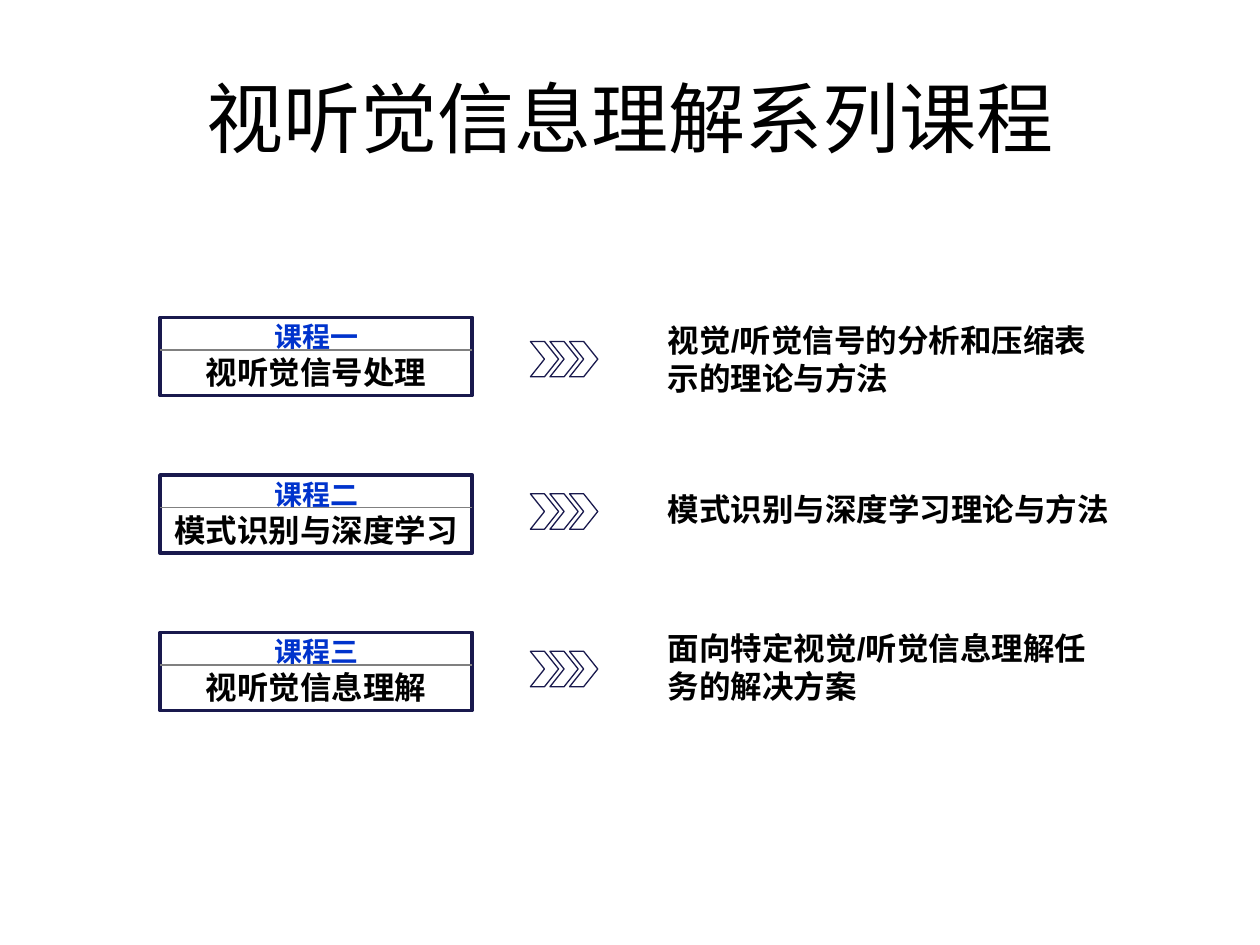
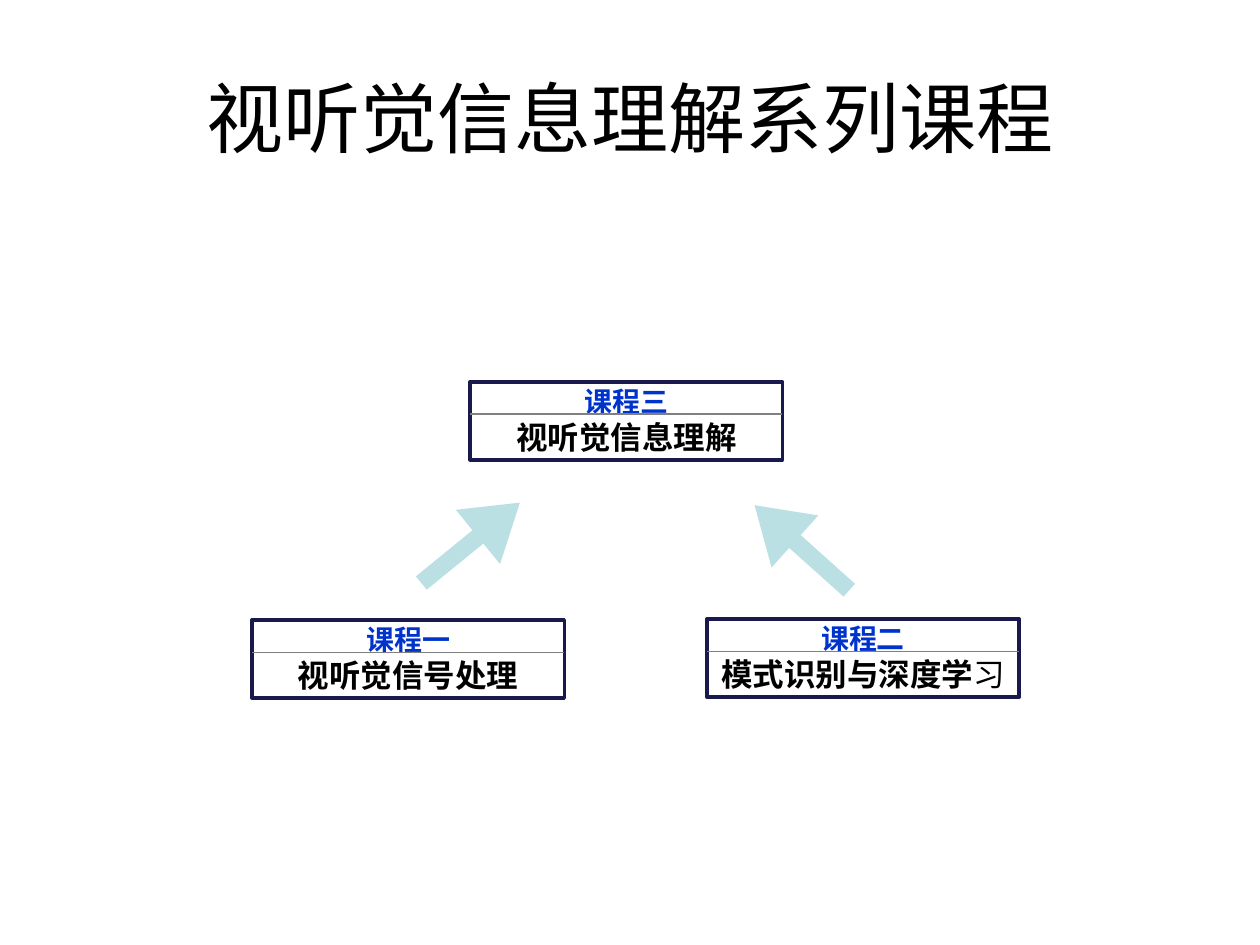
from pptx import Presentation
from pptx.dml.color import RGBColor
from pptx.enum import shapes as kinds, text as txt
from pptx.oxml import ns, xmlchemy as xml
from pptx.util import Pt

BLACK = RGBColor(0x00, 0x00, 0x00)
BLUE = RGBColor(0x00, 0x33, 0xCC)
NAVY = RGBColor(0x19, 0x19, 0x4D)
GREY = RGBColor(0x80, 0x80, 0x80)
AQUA = RGBColor(0xBB, 0xE0, 0xE3)
LATIN, CHINESE = "Arial", "Noto Sans CJK SC"
TITLE = "视听觉信息理解系列课程"
CARD_WIDTH, CARD_HEIGHT, DIVIDER_DROP = 178.5, 44.6, 18.6
LEFT, CENTER = txt.PP_ALIGN.LEFT, txt.PP_ALIGN.CENTER

SIGNALS = ("课程一", "视听觉信号处理")
LEARNING = ("课程二", "模式识别与深度学习")
UNDERSTANDING = ("课程三", "视听觉信息理解")


def style_span(span, size, color, bold=True, font=CHINESE):
    """Format one run, with a separate East Asian typeface."""
    span.font.size, span.font.bold, span.font.name = Pt(size), bold, font
    span.font.color.rgb = color
    east_asian = xml.OxmlElement("a:ea")
    east_asian.set("typeface", CHINESE)
    span.font._element.find(ns.qn("a:latin")).addnext(east_asian)


def style_para(para, size, color, align, **look):
    """Format a paragraph and all its runs."""
    para.alignment = align
    para.line_spacing = Pt(size * 1.2)
    for span in para.runs:
        style_span(span, size, color, **look)


def set_frame(frame, insets):
    """Wrap and centre a text frame vertically, with insets left, top, right, bottom."""
    frame.word_wrap = True
    frame.vertical_anchor = txt.MSO_ANCHOR.MIDDLE
    (frame.margin_left, frame.margin_top,
     frame.margin_right, frame.margin_bottom) = map(Pt, insets)


def add_outline(parent, kind, left, top, width, height, weight):
    """Add an unfilled navy shape."""
    shape = parent.shapes.add_shape(kind, Pt(left), Pt(top), Pt(width), Pt(height))
    shape.shadow.inherit = False
    shape.fill.background()
    shape.line.color.rgb = NAVY
    shape.line.width = Pt(weight)
    return shape


def add_page(deck):
    """Add a slide with the shared title."""
    page = deck.slides.add_slide(deck.slide_layouts[5])
    title = page.shapes.title
    title.left, title.top, title.width, title.height = map(Pt, (36, 21.6, 648, 90))
    title.text_frame.text = TITLE
    set_frame(title.text_frame, (7.2, 3.6, 7.2, 3.6))
    para = title.text_frame.paragraphs[0]
    para.alignment = CENTER
    style_span(para.runs[0], 44, BLACK, bold=False, font=LATIN)
    return page


def add_card(page, left, top, course, light_tail=""):
    """Add a course card: number, divider and name, whose tail may be light."""
    group = page.shapes.add_group_shape()
    box = add_outline(group, kinds.MSO_SHAPE.RECTANGLE, left, top, CARD_WIDTH, CARD_HEIGHT, 2)
    frame = box.text_frame
    set_frame(frame, (7.2, 0, 7.2, 1))
    number, name = course
    frame.text = number
    style_para(frame.paragraphs[0], 16, BLUE, CENTER)
    para = frame.add_paragraph()
    para.text = name.removesuffix(light_tail)
    style_para(para, 18, BLACK, CENTER)
    if light_tail:
        span = para.add_run()
        span.text = light_tail
        style_span(span, 18, BLACK, bold=False)

    divider_y = Pt(top + DIVIDER_DROP)
    divider = group.shapes.add_connector(
        kinds.MSO_CONNECTOR.STRAIGHT, Pt(left), divider_y, Pt(left + CARD_WIDTH), divider_y)
    divider.line.color.rgb = GREY
    divider.line.width = Pt(1)
    divider._element.spPr.append(xml.OxmlElement("a:effectLst"))


def add_chevrons(page, left, top):
    """Add three overlapping chevrons."""
    group = page.shapes.add_group_shape()
    for index in range(3):
        add_outline(group, kinds.MSO_SHAPE.CHEVRON, left + index * 11.2, top, 16.1, 20.2, 0.75)


def add_summary(page, left, middle, words):
    """Add a course summary centred on a height."""
    height = 51
    box = page.shapes.add_textbox(Pt(left), Pt(middle - height / 2), Pt(271), Pt(height))
    set_frame(box.text_frame, (7.2, 3.6, 7.2, 3.6))
    box.text_frame.text = words
    style_para(box.text_frame.paragraphs[0], 18, BLACK, LEFT, font=LATIN)


def add_arrow(page, left, top, rotation):
    """Add a rotated block arrow."""
    arrow = page.shapes.add_shape(
        kinds.MSO_SHAPE.RIGHT_ARROW, Pt(left), Pt(top), Pt(72.7), Pt(40))
    arrow.adjustments[0], arrow.adjustments[1] = 0.245, 0.774
    arrow.rotation = rotation
    arrow.shadow.inherit = False
    arrow.fill.solid()
    arrow.fill.fore_color.rgb = AQUA
    arrow.line.fill.background()


def build_summaries(deck):
    """Build the slide that pairs each course with its summary."""
    page = add_page(deck)
    rows = (
        (SIGNALS, 13.7, 23.7, "视觉/听觉信号的分析和压缩表示的理论与方法"),
        (LEARNING, 10.8, 19.5, "模式识别与深度学习理论与方法"),
        (UNDERSTANDING, 10.8, 19.7, "面向特定视觉/听觉信息理解任务的解决方案"),
    )
    for index, (course, chevron_drop, summary_drop, words) in enumerate(rows):
        top = 181.4 + index * 90
        add_card(page, 91.4, top, course)
        add_chevrons(page, 303.1, top + chevron_drop)
        add_summary(page, 374.6, top + summary_drop, words)


def build_hierarchy(deck):
    """Build the slide where two courses lead to the third."""
    page = add_page(deck)
    add_card(page, 144, 354.2, SIGNALS)
    add_card(page, 403.9, 353.7, LEARNING, light_tail="习")
    add_card(page, 268.6, 218.2, UNDERSTANDING)
    add_arrow(page, 232.6, 290.2, 320.8)
    add_arrow(page, 421.9, 293, 221.9)


def main():
    """Build and save the deck."""
    deck = Presentation()
    deck.slide_width, deck.slide_height = Pt(720), Pt(540)
    build_summaries(deck)
    build_hierarchy(deck)
    deck.save("out.pptx")


if __name__ == "__main__":
    main()
